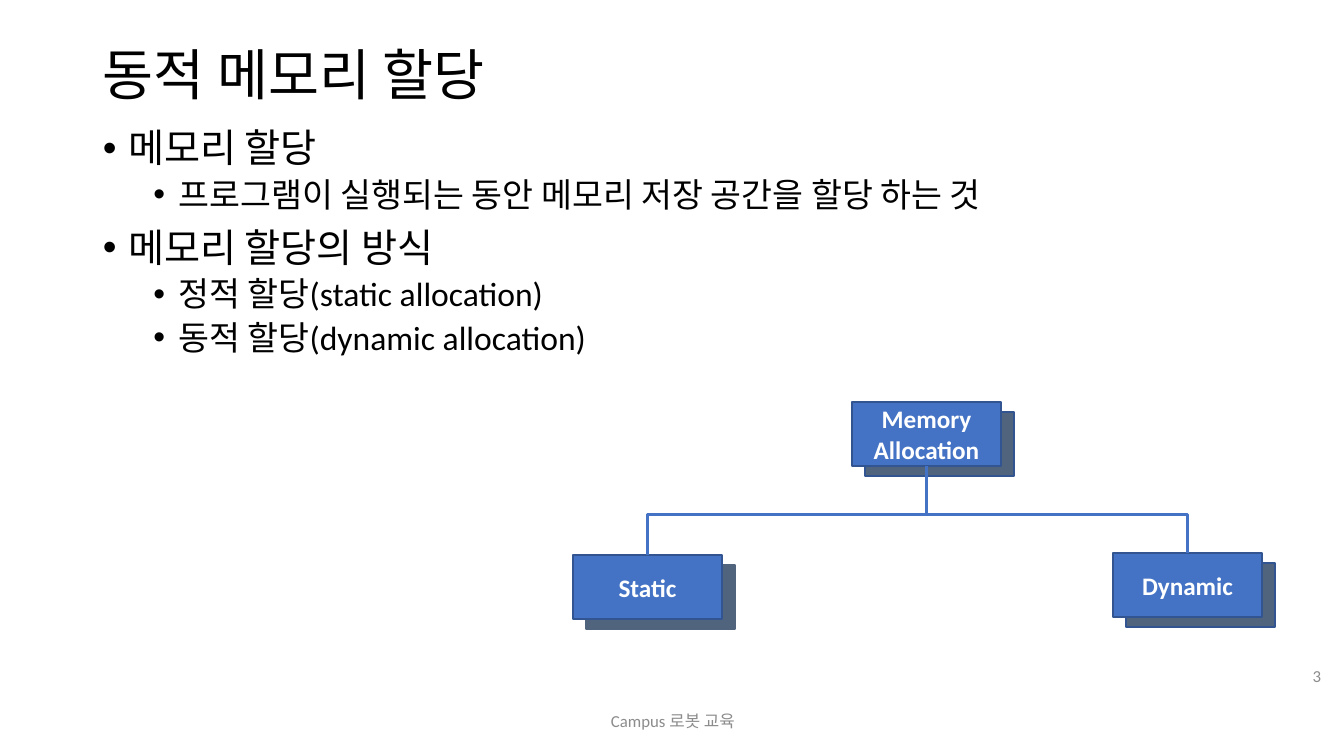
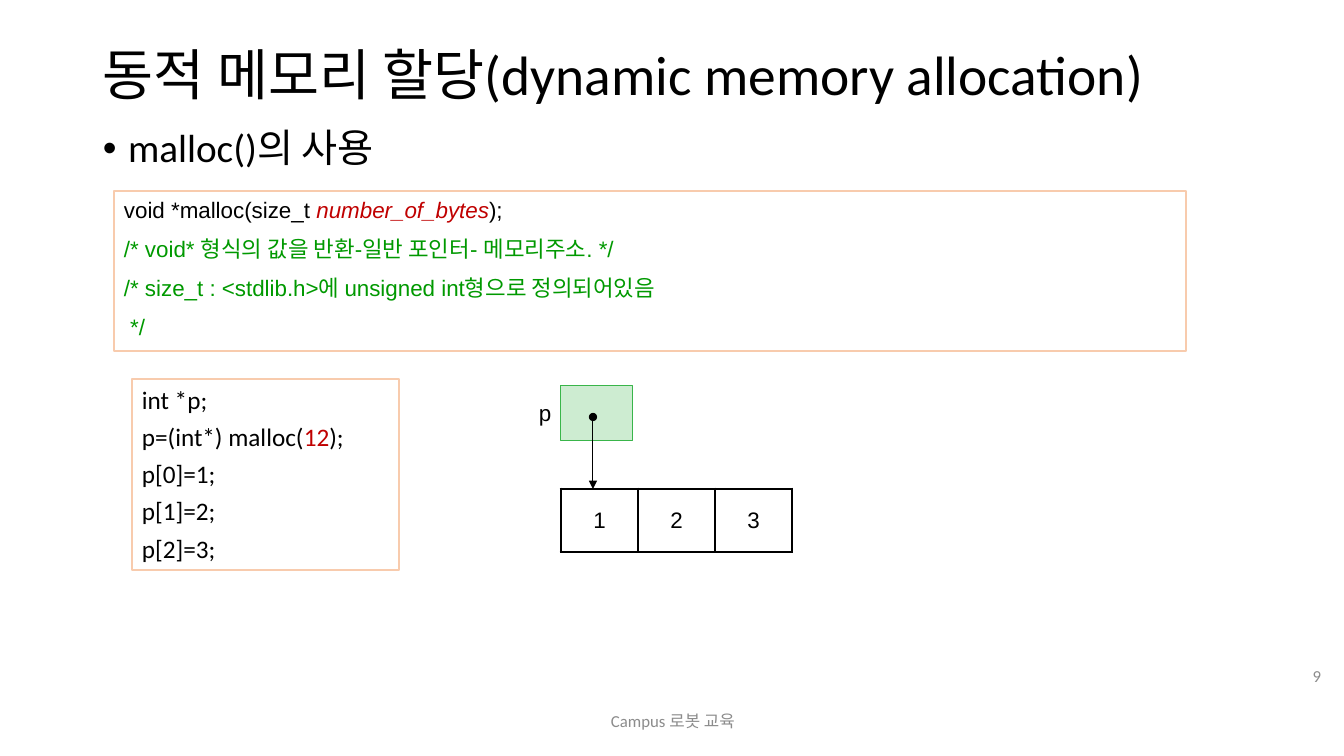
"""Build two lecture slides on dynamic memory allocation."""
from lxml.etree import SubElement
from pptx import Presentation
from pptx.dml.color import RGBColor
from pptx.enum.shapes import MSO_CONNECTOR, MSO_SHAPE
from pptx.enum.text import MSO_ANCHOR, PP_ALIGN
from pptx.oxml.ns import qn
from pptx.util import Emu, Pt

SCALE = 914400 / 100.8
COLORS = {
    "ink": "000000", "paper": "FFFFFF", "muted": "8C8C8C",
    "blue": "4472C4", "blue_edge": "325491", "slate": "51647E",
    "peach": "F8CBAD", "red": "C00000", "comment": "009900", "green": "39B54A",
}
FOOTER = "Campus 로봇 교육"
NODE_SIZE = (149, 64)


def px(length):
    """Turn pixels into EMU."""
    return Emu(round(length * SCALE))


def rgb(name):
    """Look up a named colour."""
    return RGBColor.from_string(COLORS[name])


def write(frame, lines, size, font="Calibri", color="ink", bold=False,
          align=PP_ALIGN.LEFT, anchor=MSO_ANCHOR.TOP, before=0, spacing=None):
    """Fill a frame with lines, each a string or a list of (text, colour, italic)."""
    frame.word_wrap = True
    frame.vertical_anchor = anchor
    for index, line in enumerate(lines):
        para = frame.add_paragraph() if index else frame.paragraphs[0]
        para.alignment = align
        para.space_before = Pt(before)
        if spacing:
            para.line_spacing = spacing
        spans = [(line, color, False)] if isinstance(line, str) else line
        for text, tone, italic in spans:
            span = para.add_run()
            span.text = text
            span.font.name = font
            span.font.size = Pt(size)
            span.font.bold = bold
            span.font.italic = italic
            span.font.color.rgb = rgb(tone)


def text_box(page, box, lines, size, **style):
    """Place a text box."""
    frame = page.shapes.add_textbox(*map(px, box)).text_frame
    write(frame, lines, size, **style)
    return frame


def rectangle(page, box, fill, edge, width=1):
    """Place a filled, outlined rectangle."""
    shape = page.shapes.add_shape(MSO_SHAPE.RECTANGLE, *map(px, box))
    shape.shadow.inherit = False
    shape.fill.solid()
    shape.fill.fore_color.rgb = rgb(fill)
    shape.line.color.rgb = rgb(edge)
    shape.line.width = Pt(width)
    return shape


def connector(page, kind, ends, color, width):
    """Place a connector without a shadow."""
    line = page.shapes.add_connector(kind, *map(px, ends))
    line.line.color.rgb = rgb(color)
    line.line.width = Pt(width)
    SubElement(line._element.spPr, qn("a:effectLst"))
    return line


def base_page(deck, title, number):
    """Add a page with its title, footer and number."""
    page = deck.slides.add_slide(deck.slide_layouts[6])
    middle = MSO_ANCHOR.MIDDLE
    text_box(page, (93, 40, 1159, 76), [title], 39.6, anchor=middle, spacing=0.9)
    text_box(page, (446, 701, 454, 40), [FOOTER], 12, color="muted",
             align=PP_ALIGN.CENTER, anchor=middle)
    text_box(page, (1269, 656, 62, 40), [str(number)], 12, color="muted",
             align=PP_ALIGN.RIGHT, anchor=middle)
    return page


def bullet_list(page, items):
    """Place a two-level bullet list of (level, text) items."""
    frame = text_box(page, (93, 124, 1159, 557), [text for _, text in items], 28, spacing=0.9)
    for para, (level, _) in zip(frame.paragraphs, items):
        para.level = level
        para.space_before = Pt(5 if level else 10)
        para.runs[0].font.size = Pt(24 if level else 28)
        properties = para._p.get_or_add_pPr()
        properties.set("marL", str(Pt(18 + 36 * level)))
        properties.set("indent", str(-Pt(18)))
        SubElement(properties, qn("a:buFont"), typeface="Arial")
        SubElement(properties, qn("a:buChar"), char="•")


def tree_node(page, left, top, lines, shade_edge="blue_edge"):
    """Place a labelled node over its offset shade."""
    rectangle(page, (left + 13, top + 10, *NODE_SIZE), "slate", shade_edge)
    node = rectangle(page, (left, top, *NODE_SIZE), "blue", "blue_edge")
    write(node.text_frame, lines, 18, color="paper", bold=True,
          align=PP_ALIGN.CENTER, anchor=MSO_ANCHOR.MIDDLE)


def tree_bracket(page, start, end, level):
    """Join two node tops with an elbow line that rises to a level."""
    span, rise = end[0] - start[0], start[1] - end[1]
    middle_x, middle_y = (start[0] + end[0]) / 2, (start[1] + end[1]) / 2
    ends = (middle_x + rise / 2, middle_y + span / 2,
            middle_x - rise / 2, middle_y - span / 2)
    bracket = connector(page, MSO_CONNECTOR.ELBOW, ends, "blue", 2.25)
    properties = bracket._element.spPr
    properties.find(qn("a:xfrm")).set("rot", "5400000")
    guides = properties.find(qn("a:prstGeom")).get_or_add_avLst()
    ratio = round((start[1] - level) / rise * 100000)
    SubElement(guides, qn("a:gd"), name="adj1", fmla=f"val {ratio}")


def allocation_tree(page, left, top):
    """Draw the tree of allocation kinds."""
    half, height = NODE_SIZE[0] / 2, NODE_SIZE[1]
    root, leaf, level = left + 279, left + 540, top + 112
    tree_node(page, root, top, ["Memory", "Allocation"])
    tree_node(page, left, top + 153, ["Static"], "slate")
    tree_node(page, leaf, top + 151, ["Dynamic"])
    connector(page, MSO_CONNECTOR.STRAIGHT,
              (root + half, top + height, root + half, level), "blue", 1.5)
    tree_bracket(page, (left + half, top + 153), (leaf + half, top + 151), level)


def code_panel(page, box, lines, size, **style):
    """Place a bordered panel of code."""
    panel = rectangle(page, box, "paper", "peach")
    write(panel.text_frame, lines, size, **style)


def border_cell(cell, widths):
    """Set the left, right, top and bottom borders of a cell."""
    properties = cell._tc.get_or_add_tcPr()
    for index, (side, width) in enumerate(zip("LRTB", widths)):
        line = properties.makeelement(qn(f"a:ln{side}"), {"w": str(Pt(width))})
        fill = SubElement(line, qn("a:solidFill"))
        SubElement(fill, qn("a:srgbClr"), val=COLORS["ink"])
        properties.insert(index, line)


def array_table(page, box, values):
    """Place a one-row table of array values."""
    table = page.shapes.add_table(1, len(values), *map(px, box)).table
    table.first_row = table.horz_banding = False
    last = len(values) - 1
    for index, value in enumerate(values):
        cell = table.cell(0, index)
        cell.fill.background()
        cell.vertical_anchor = MSO_ANCHOR.MIDDLE
        write(cell.text_frame, [value], 16, font="Arial",
              align=PP_ALIGN.CENTER, anchor=MSO_ANCHOR.MIDDLE)
        border_cell(cell, (1 if index else 2.25, 1 if index < last else 2.25, 2.25, 2.25))


def pointer_diagram(page, left, top):
    """Draw the pointer p and the array it refers to."""
    slot = rectangle(page, (left, top, 72, 55), "green", "green", 0.75)
    color = slot._element.spPr.find(qn("a:solidFill"))[0]
    SubElement(color, qn("a:alpha"), val="25000")
    text_box(page, (left - 32, top + 8, 39, 37), ["p"], 16, font="Arial")
    array_table(page, (left, top + 103, 231, 63), ["1", "2", "3"])
    arrow = connector(page, MSO_CONNECTOR.STRAIGHT,
                      (left + 32, top + 31, left + 32, top + 103), "ink", 0.75)
    outline = arrow.line._get_or_add_ln()
    SubElement(outline, qn("a:headEnd"), type="oval")
    SubElement(outline, qn("a:tailEnd"), type="triangle")


def overview_slide(deck):
    """Build the slide on kinds of allocation."""
    page = base_page(deck, "동적 메모리 할당", 3)
    bullet_list(page, [
        (0, "메모리 할당"),
        (1, "프로그램이 실행되는 동안 메모리 저장 공간을 할당 하는 것"),
        (0, "메모리 할당의 방식"),
        (1, "정적 할당(static allocation)"),
        (1, "동적 할당(dynamic allocation)"),
    ])
    allocation_tree(page, 573, 402)


def malloc_slide(deck):
    """Build the slide on using malloc."""
    page = base_page(deck, "동적 메모리 할당(dynamic memory allocation)", 9)
    bullet_list(page, [(0, "malloc()의 사용")])
    code_panel(page, (114, 191, 1072, 160), [
        [("void *malloc(size_t ", "ink", False),
         ("number_of_bytes", "red", True), (");", "ink", False)],
        "/* void* 형식의 값을 반환-일반 포인터- 메모리주소. */",
        "/* size_t : <stdlib.h>에 unsigned int형으로 정의되어있음",
        " */",
    ], 16, font="Arial", color="comment", before=8.7)
    pointer_diagram(page, 561, 386)
    code_panel(page, (132, 379, 267, 191), [
        "int *p;",
        [("p=(int*) malloc(", "ink", False), ("12", "red", False), (");", "ink", False)],
        *(f"p[{index}]={index + 1};" for index in range(3)),
    ], 18, before=5)


def main():
    """Build and save the deck."""
    deck = Presentation()
    deck.slide_width, deck.slide_height = px(1344), px(756)
    overview_slide(deck)
    malloc_slide(deck)
    deck.save("out.pptx")


main()
